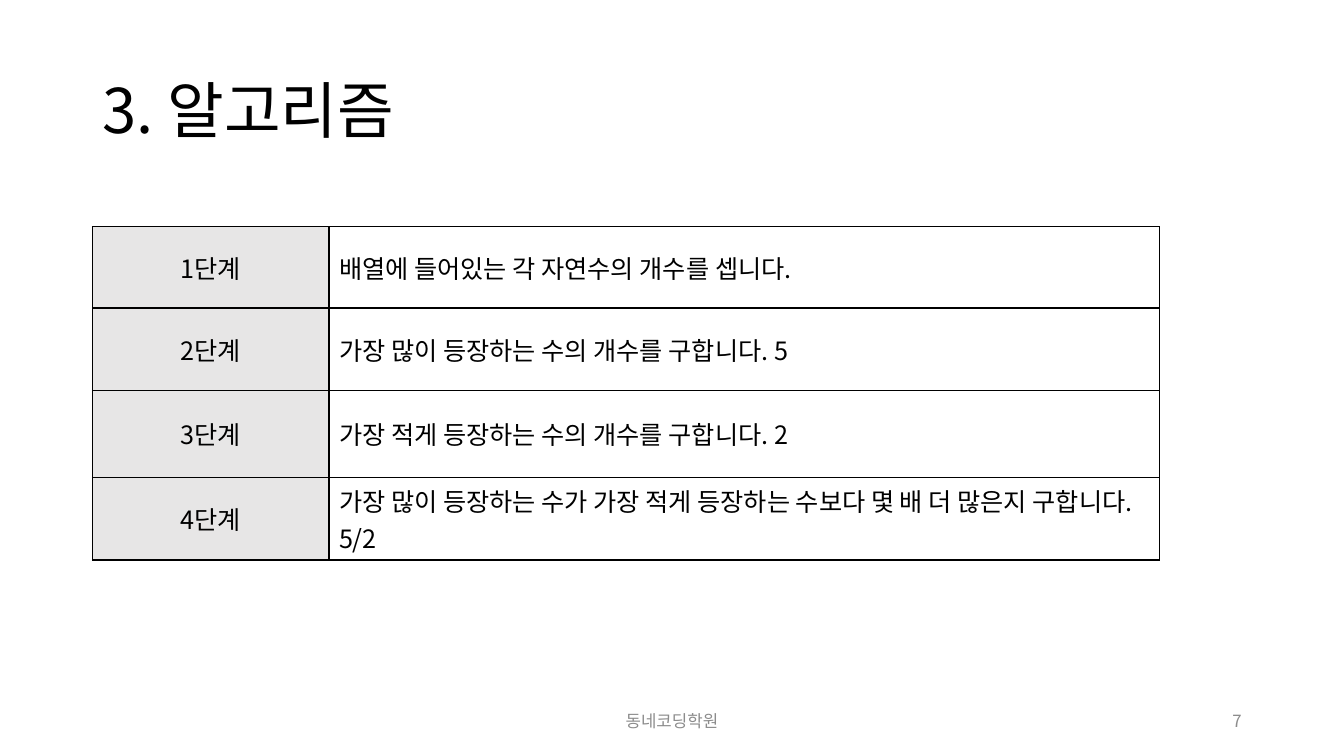
from lxml import etree
from pptx import Presentation
from pptx.dml.color import RGBColor
from pptx.enum.text import MSO_ANCHOR, PP_ALIGN
from pptx.oxml.ns import qn
from pptx.util import Pt

LEFT, CENTER, RIGHT = PP_ALIGN.LEFT, PP_ALIGN.CENTER, PP_ALIGN.RIGHT
MIDDLE = MSO_ANCHOR.MIDDLE

FONT = "Noto Sans CJK KR"
BLACK, GREY, LABEL_FILL = "000000", "8C8C8C", "E7E6E6"

COLUMN_WIDTHS = (169, 593)
ROW_HEIGHTS = (58, 59, 62, 59)
STEPS = (
    "배열에 들어있는 각 자연수의 개수를 셉니다.",
    "가장 많이 등장하는 수의 개수를 구합니다. 5",
    "가장 적게 등장하는 수의 개수를 구합니다. 2",
    "가장 많이 등장하는 수가 가장 적게 등장하는 수보다 몇 배 더 많은지 구합니다. 5/2",
)


def rgb(value):
    return RGBColor.from_string(value)


def write(tf, text, size, color, align):
    p = tf.paragraphs[0]
    p.text = text
    p.alignment = align
    p.font.size = Pt(size)
    p.font.color.rgb = rgb(color)
    p.font.name = FONT
    props = p._p.pPr.find(qn("a:defRPr"))
    etree.SubElement(props, qn("a:ea"), typeface=FONT)
    return p


def add_text(s, left, top, width, height, text, size, color, align):
    tf = s.shapes.add_textbox(Pt(left), Pt(top), Pt(width), Pt(height)).text_frame
    tf.word_wrap = True
    tf.vertical_anchor = MIDDLE
    return write(tf, text, size, color, align)


def add_borders(cell):
    props = cell._tc.get_or_add_tcPr()
    for side in ("lnL", "lnR", "lnT", "lnB"):
        line = etree.SubElement(props, qn(f"a:{side}"), w=str(Pt(1)))
        fill = etree.SubElement(line, qn("a:solidFill"))
        etree.SubElement(fill, qn("a:srgbClr"), val=BLACK)


def fill_cell(cell, text, align, fill=None):
    add_borders(cell)
    if fill:
        cell.fill.solid()
        cell.fill.fore_color.rgb = rgb(fill)
    else:
        cell.fill.background()
    cell.vertical_anchor = MIDDLE
    write(cell.text_frame, text, 18, BLACK, align)


def add_steps_table(s, left, top):
    table = s.shapes.add_table(
        len(STEPS), len(COLUMN_WIDTHS), Pt(left), Pt(top),
        Pt(sum(COLUMN_WIDTHS)), Pt(sum(ROW_HEIGHTS))).table
    table.first_row = False
    table.horz_banding = False
    for column, width in zip(table.columns, COLUMN_WIDTHS):
        column.width = Pt(width)
    for i, (step, height) in enumerate(zip(STEPS, ROW_HEIGHTS)):
        table.rows[i].height = Pt(height)
        fill_cell(table.cell(i, 0), f"{i + 1}단계", CENTER, LABEL_FILL)
        fill_cell(table.cell(i, 1), step, LEFT)


def main():
    prs = Presentation()
    prs.slide_width, prs.slide_height = Pt(960), Pt(540)
    s = prs.slides.add_slide(prs.slide_layouts[6])
    title = add_text(s, 66, 28.75, 828, 104.4, "3. 알고리즘", 44, BLACK, LEFT)
    title.line_spacing = 0.9
    add_steps_table(s, 66, 162)
    add_text(s, 318, 500.5, 324, 28.75, "동네코딩학원", 12, GREY, CENTER)
    add_text(s, 678, 500.5, 216, 28.75, "7", 12, GREY, RIGHT)
    prs.save("out.pptx")


if __name__ == "__main__":
    main()
